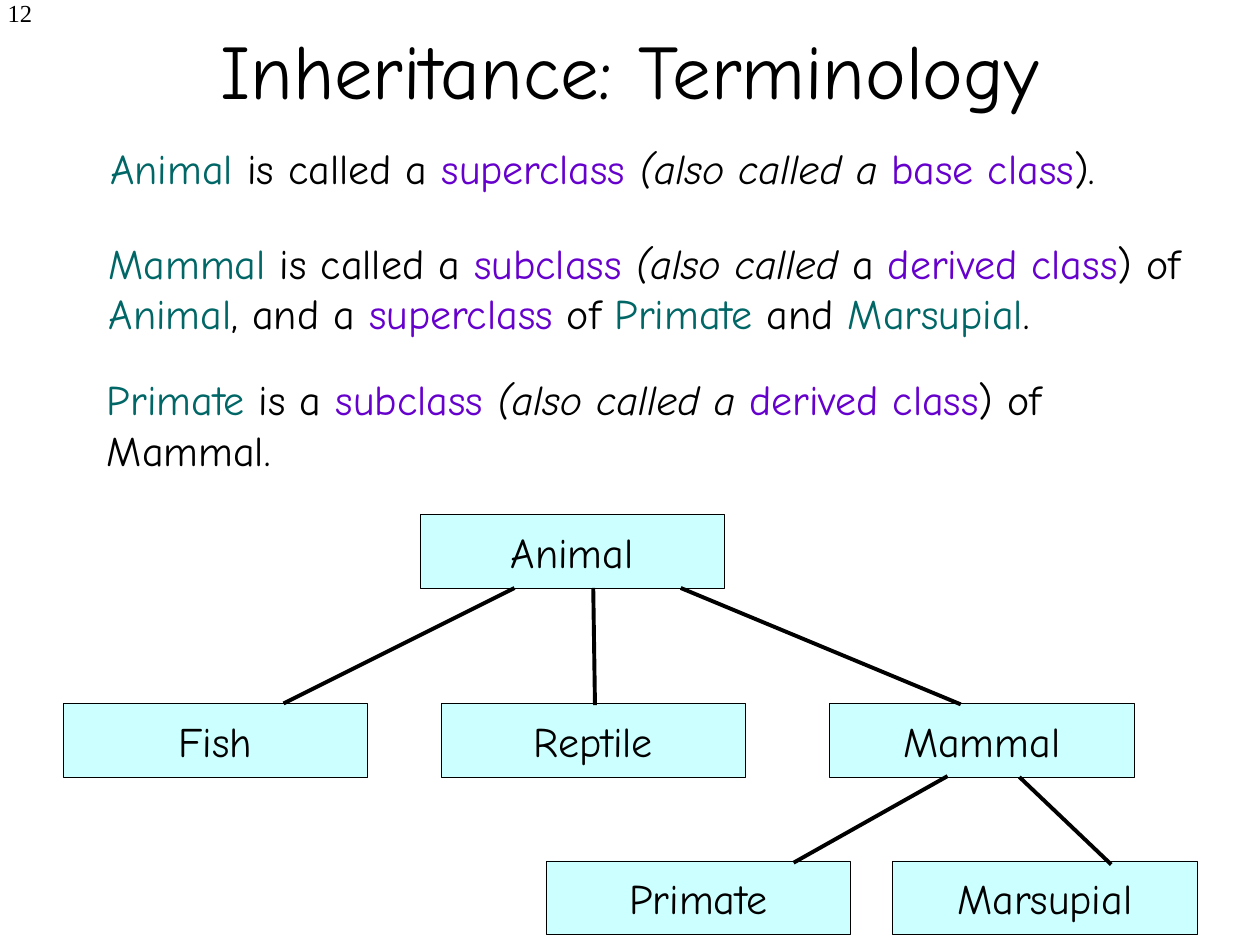
import pptx
import pptx.util
import pptx.dml.color
import pptx.enum.shapes
import pptx.enum.text
import pptx.oxml.ns
import lxml.etree

Pt = pptx.util.Pt
RGBColor = pptx.dml.color.RGBColor
ALIGN = pptx.enum.text.PP_ALIGN
ANCHOR = pptx.enum.text.MSO_ANCHOR

BLACK = RGBColor(0x00, 0x00, 0x00)
TEAL = RGBColor(0x00, 0x66, 0x66)
PURPLE = RGBColor(0x66, 0x00, 0xCC)
PALE_CYAN = RGBColor(0xCC, 0xFF, 0xFF)

BODY_FONT = "Comic Neue"
NUMBER_FONT = "Times New Roman"

# Run styles: class names, defined terms, plain words and asides
STYLES = {
    "class": {"color": TEAL},
    "term": {"color": PURPLE},
    "plain": {"color": BLACK},
    "aside": {"color": BLACK, "italic": True},
}

NODE_SIZE = (174, 42)
NODES = {
    "Animal": (240, 294),
    "Fish": (36, 402),
    "Reptile": (252, 402),
    "Mammal": (474, 402),
    "Primate": (312, 492),
    "Marsupial": (510, 492),
}
# Each branch runs from a superclass to a subclass
BRANCHES = [
    ((294, 336), (162, 402)),
    ((339, 336), (340, 403)),
    ((389, 336), (549, 402.5)),
    ((582.5, 444), (635, 494)),
    ((541.5, 443.5), (453.5, 493)),
]

STATEMENTS = [
    ((56, 78, 615, 36), [
        ("class", "Animal"), ("plain", " is called a "),
        ("term", "superclass "), ("aside", "(also called a "),
        ("term", "base class"), ("plain", ")."),
    ]),
    ((55, 132, 647, 65), [
        ("class", "Mammal"), ("plain", " is called a "),
        ("term", "subclass "), ("aside", "(also called"), ("plain", " a "),
        ("term", "derived class"), ("plain", ") of "),
        ("class", "Animal"), ("plain", ", and a "), ("term", "superclass"),
        ("plain", " of "), ("class", "Primate"), ("plain", " and "),
        ("class", "Marsupial"), ("plain", "."),
    ]),
    ((54, 210, 647, 65), [
        ("class", "Primate"), ("plain", " is a "), ("term", "subclass "),
        ("aside", "(also called a "), ("term", "derived class"),
        ("plain", ") of Mammal."),
    ]),
]


def write(frame, runs, align=ALIGN.LEFT, anchor=ANCHOR.TOP, wrap=True,
          size=24, font=BODY_FONT):
    """Fill a text frame with one paragraph of styled runs."""
    frame.word_wrap = wrap
    frame.vertical_anchor = anchor
    paragraph = frame.paragraphs[0]
    paragraph.alignment = align
    for style, words in runs:
        run = paragraph.add_run()
        run.text = words
        formats = {"name": font, "size": Pt(size), **STYLES[style]}
        run.font.color.rgb = formats.pop("color")
        for attribute, value in formats.items():
            setattr(run.font, attribute, value)


def add_text(slide, box, runs, **layout):
    label = slide.shapes.add_textbox(*map(Pt, box))
    write(label.text_frame, runs, **layout)


def add_header(slide, number_box, title_box):
    add_text(slide, number_box, [("plain", "12")], align=ALIGN.RIGHT,
             size=14, font=NUMBER_FONT)
    add_text(slide, title_box, [("plain", "Inheritance: Terminology")],
             align=ALIGN.CENTER, anchor=ANCHOR.MIDDLE, size=44)


def add_node(slide, box, name):
    node = slide.shapes.add_shape(
        pptx.enum.shapes.MSO_SHAPE.RECTANGLE, *map(Pt, box))
    node.shadow.inherit = False
    node.fill.solid()
    node.fill.fore_color.rgb = PALE_CYAN
    node.line.color.rgb = BLACK
    node.line.width = Pt(0.25)
    write(node.text_frame, [("plain", name)], align=ALIGN.CENTER,
          anchor=ANCHOR.MIDDLE, wrap=False)


def add_branch(slide, start, end):
    branch = slide.shapes.add_connector(
        pptx.enum.shapes.MSO_CONNECTOR.STRAIGHT, *map(Pt, start + end))
    branch.line.color.rgb = BLACK
    branch.line.width = Pt(2.25)
    lxml.etree.SubElement(branch._element.spPr,
                          pptx.oxml.ns.qn("a:effectLst"))


def add_class_tree(slide):
    for name, corner in NODES.items():
        add_node(slide, corner + NODE_SIZE, name)
    for start, end in BRANCHES:
        add_branch(slide, start, end)


def main():
    deck = pptx.Presentation()
    deck.slide_width, deck.slide_height = Pt(720), Pt(540)
    slide = deck.slides.add_slide(deck.slide_layouts[6])

    # Page number and title
    add_header(slide, (-124.5, -4.5, 150, 36), (54, -6, 612, 90))
    # Class hierarchy
    add_class_tree(slide)
    # Definitions
    for box, runs in STATEMENTS:
        add_text(slide, box, runs)

    deck.save("out.pptx")


if __name__ == "__main__":
    main()
